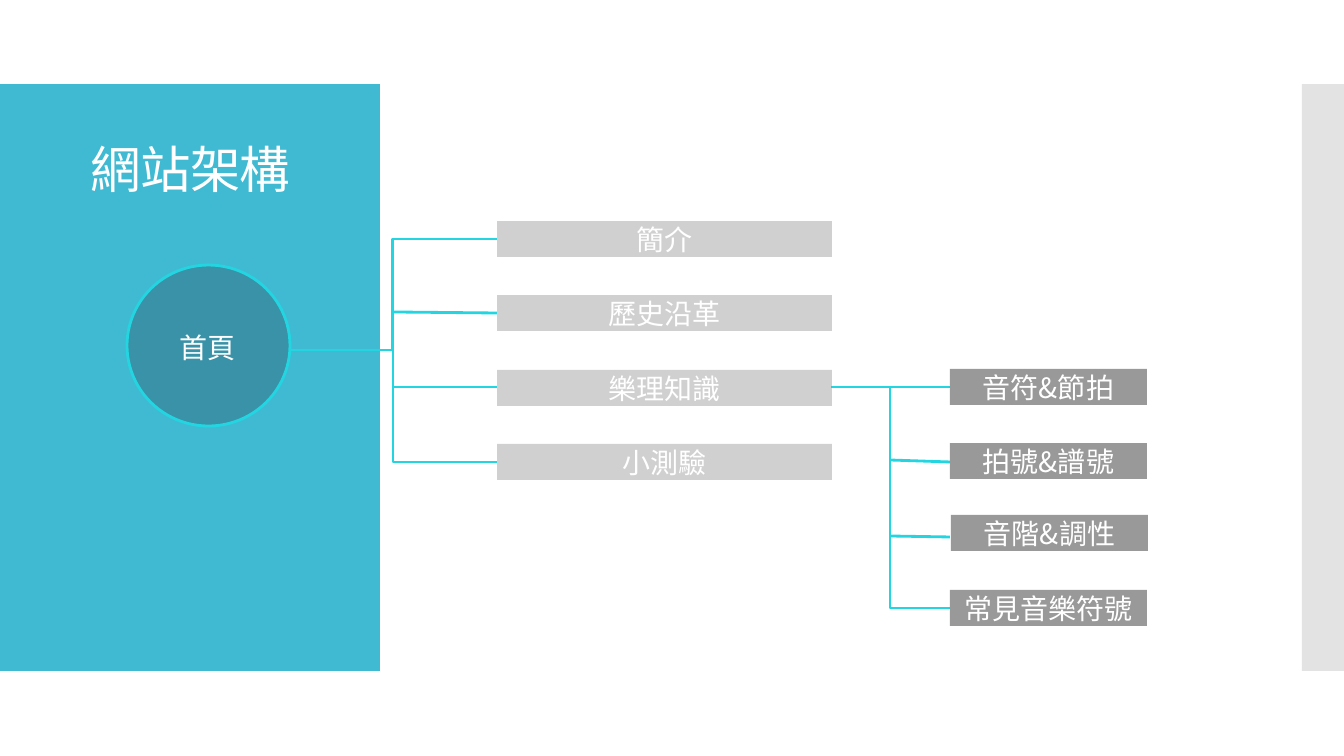
"""Build the site map slide: a home page, its topics and their pages."""
from dataclasses import dataclass

from lxml.etree import SubElement
from pptx import Presentation
from pptx.dml.color import RGBColor
from pptx.enum.shapes import MSO_CONNECTOR as Link, MSO_SHAPE as Kind
from pptx.enum.text import MSO_ANCHOR as Anchor, MSO_AUTO_SIZE as Fit, PP_ALIGN as Align
from pptx.oxml.ns import qn
from pptx.util import Emu, Pt

FONT = "Noto Sans CJK SC"
WHITE = "FFFFFF"
CYAN = "22D5E0"


@dataclass
class Box:
    left: int
    top: int
    width: int
    height: int
    fill: str
    alpha: int = 100
    text: str = ""
    kind: Kind = Kind.RECTANGLE
    line: str = ""


@dataclass
class Wire:
    x1: int
    y1: int
    x2: int
    y2: int
    bend: float | None = None


TOPICS = ["簡介", "歷史沿革", "樂理知識", "小測驗"]
PAGES = [("音符&節拍", 950, 369), ("拍號&譜號", 950, 443),
         ("音階&調性", 951, 515), ("常見音樂符號", 950, 590)]
PANELS = [Box(0, 84, 380, 587, "40BAD2"), Box(1302, 84, 42, 587, "C8C8C8", 50)]
WIRES = [
    Wire(290, 350, 497, 239, 0.495),
    Wire(393, 341, 497, 462, 0),
    Wire(497, 313, 393, 312),
    Wire(497, 387, 393, 387),
    Wire(831, 387, 950, 387),
    Wire(890, 387, 950, 608, 0),
    Wire(950, 462, 890, 460),
    Wire(950, 537, 890, 536),
]
HOME = Box(127, 265, 163, 161, "292838", 27, kind=Kind.OVAL, line=CYAN)
NODES = [HOME]
NODES += [Box(497, 221 + 149 * i // 2, 335, 36, "989898", 45, text)
          for i, text in enumerate(TOPICS)]
NODES += [Box(left, top, 197, 36, "808080", 80, text) for text, left, top in PAGES]


def px(count: int) -> Emu:
    return Emu(round(count * 914400 / 100.8))


def paint(target, color: str) -> None:
    target.rgb = RGBColor.from_string(color)


def place(shape, left: int, top: int, width: int, height: int) -> None:
    shape.left, shape.top = px(left), px(top)
    shape.width, shape.height = px(width), px(height)


def write(frame, text: str, size: int):
    para = frame.paragraphs[0]
    para.alignment = Align.CENTER
    run = para.add_run()
    run.text = text
    run.font.size = Pt(size)
    run.font.name = FONT
    paint(run.font.color, WHITE)
    SubElement(run.font._element, qn("a:ea")).set("typeface", FONT)
    return run


def draw_box(shapes, box: Box) -> None:
    shape = shapes.add_shape(box.kind, px(box.left), px(box.top),
                             px(box.width), px(box.height))
    shape.shadow.inherit = False
    shape.fill.solid()
    paint(shape.fill.fore_color, box.fill)
    if box.alpha < 100:
        color = shape.element.spPr.find(qn("a:solidFill"))[0]
        SubElement(color, qn("a:alpha")).set("val", str(box.alpha * 1000))
    if box.line:
        paint(shape.line.color, box.line)
        shape.line.width = Pt(2)
    else:
        shape.line.fill.background()
    if box.text:
        frame = shape.text_frame
        frame.vertical_anchor = Anchor.MIDDLE
        write(frame, box.text, 20)


def draw_wire(shapes, wire: Wire) -> None:
    kind = Link.STRAIGHT if wire.bend is None else Link.ELBOW
    link = shapes.add_connector(kind, px(wire.x1), px(wire.y1), px(wire.x2), px(wire.y2))
    paint(link.line.color, CYAN)
    link.line.width = Pt(2)
    props = link.element.spPr
    SubElement(props, qn("a:effectLst"))
    if wire.bend is not None:
        guide = SubElement(props.find(qn("a:prstGeom")).find(qn("a:avLst")), qn("a:gd"))
        guide.set("name", "adj1")
        guide.set("fmla", f"val {round(wire.bend * 100000)}")


def draw_title(title) -> None:
    place(title, 28, 124, 325, 96)
    frame = title.text_frame
    frame.auto_size = Fit.NONE
    frame.vertical_anchor = Anchor.MIDDLE
    run = write(frame, "網站架構", 36)
    run.font._element.set("spc", "-60")
    frame.paragraphs[0].line_spacing = 0.9
    title.element.getparent().append(title.element)


def draw_label(shapes) -> None:
    label = shapes.add_textbox(px(152), px(326), px(112), px(43))
    frame = label.text_frame
    frame.word_wrap = True
    frame.auto_size = Fit.SHAPE_TO_FIT_TEXT
    write(frame, "首頁", 20)


def main() -> None:
    deck = Presentation()
    deck.slide_width, deck.slide_height = px(1344), px(756)
    slide = deck.slides.add_slide(deck.slide_layouts[5])
    shapes = slide.shapes
    for panel in PANELS:
        draw_box(shapes, panel)
    draw_title(shapes.title)
    for wire in WIRES:
        draw_wire(shapes, wire)
    for node in NODES:
        draw_box(shapes, node)
    draw_label(shapes)
    deck.save("out.pptx")


if __name__ == "__main__":
    main()
